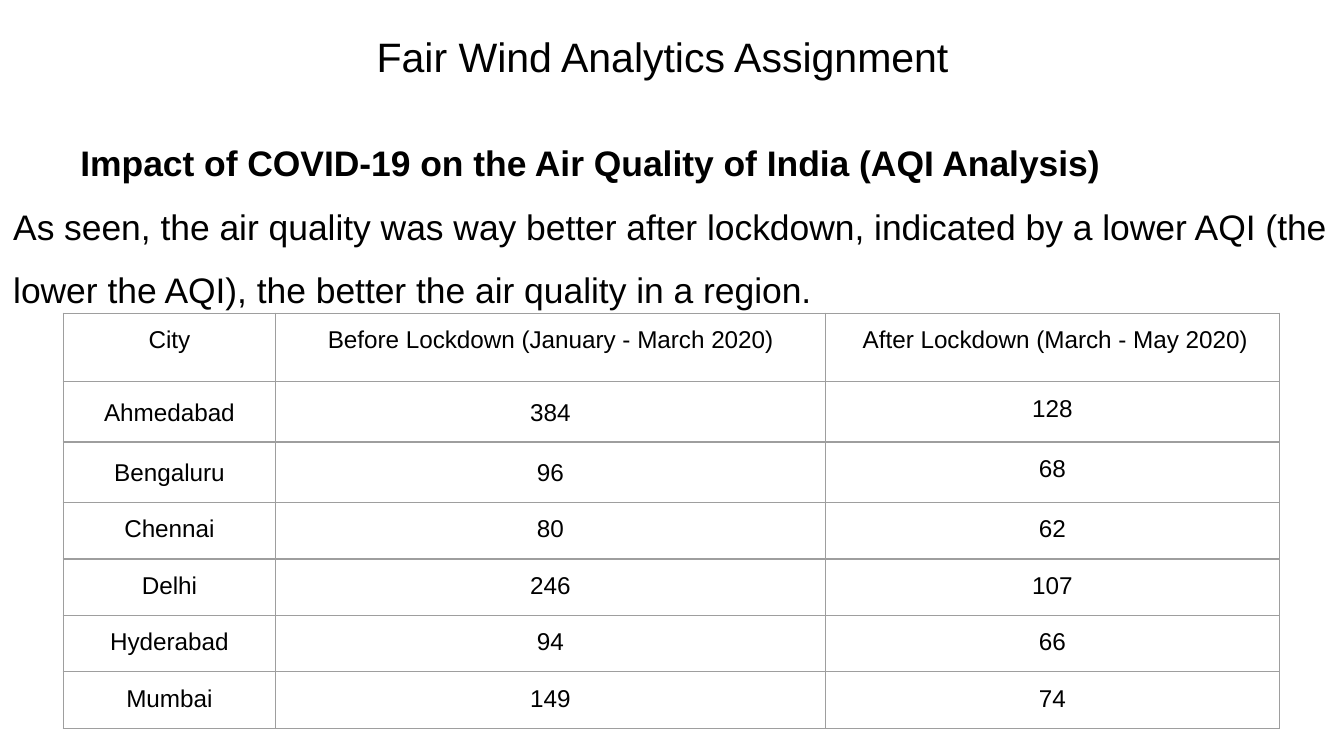
from lxml.etree import SubElement
from pptx import Presentation
from pptx.dml.color import RGBColor
from pptx.enum.text import MSO_ANCHOR, PP_ALIGN
from pptx.oxml.ns import qn
from pptx.util import Inches, Pt

TITLE = "Fair Wind Analytics Assignment"
HEADING = "Impact of COVID-19 on the Air Quality of India (AQI Analysis)"
FINDING = ("As seen, the air quality was way better after lockdown, indicated by a lower AQI "
           "(the lower the AQI), the better the air quality in a region.")
ROWS = [
    ("City", "Before Lockdown (January - March 2020)", " After Lockdown (March - May 2020)"),
    ("Ahmedabad", "384", "128"),
    ("Bengaluru", "96", "68"),
    ("Chennai", "80", "62"),
    ("Delhi", "246", "107"),
    ("Hyderabad", "94", "66"),
    ("Mumbai", "149", "74"),
]
COL_WIDTHS = [1.58, 4.09, 3.38]
ROW_HEIGHTS = [0.51, 0.42, 0.38] + [0.42] * 4
LOOSE_ROWS = (1, 2)  # first two columns use wider line spacing here
COLORS = {"text": "000000", "border": "9E9E9E"}
FONT = "Arial"
INSET = Inches(0.1)


def style(p, size, bold=False, align=PP_ALIGN.LEFT, spacing=1.0):
    p.alignment, p.line_spacing = align, spacing
    p.font.name, p.font.size, p.font.bold = FONT, Pt(size), bold
    p.font.color.rgb = RGBColor.from_string(COLORS["text"])


def set_insets(box):
    box.margin_left = box.margin_right = box.margin_top = box.margin_bottom = INSET


def add_box(s, left, top, width, height, anchor):
    tf = s.shapes.add_textbox(*map(Inches, (left, top, width, height))).text_frame
    tf.word_wrap, tf.vertical_anchor = True, anchor
    set_insets(tf)
    return tf


def set_borders(cell):
    tcPr = cell._tc.get_or_add_tcPr()
    for i, side in enumerate(("lnL", "lnR", "lnT", "lnB")):
        ln = tcPr.makeelement(qn(f"a:{side}"), {"w": str(Pt(0.75))})
        fill = SubElement(ln, qn("a:solidFill"))
        SubElement(fill, qn("a:srgbClr"), val=COLORS["border"])
        tcPr.insert(i, ln)


prs = Presentation()
prs.slide_width = Inches(10)
prs.slide_height = prs.slide_width * 9 // 16
s = prs.slides.add_slide(prs.slide_layouts[6])

# Heading and finding
tf = add_box(s, 0, 0.79, 10, 4.91, MSO_ANCHOR.TOP)
p = tf.paragraphs[0]
p.text = HEADING
p._p.get_or_add_pPr().set("indent", str(Inches(0.5)))
style(p, 19, bold=True, spacing=1.5)
p = tf.add_paragraph()
p.text = FINDING
style(p, 19, spacing=1.5)

# Title
p = add_box(s, 0.27, 0, 9.32, 0.7, MSO_ANCHOR.BOTTOM).paragraphs[0]
p.text = TITLE
style(p, 22, align=PP_ALIGN.CENTER)

# AQI table
table = s.shapes.add_table(len(ROWS), len(COL_WIDTHS), Inches(0.47), Inches(2.33),
                           Inches(sum(COL_WIDTHS)), Inches(sum(ROW_HEIGHTS))).table
table.first_row = table.horz_banding = False
for col, width in zip(table.columns, COL_WIDTHS):
    col.width = Inches(width)
for i, (row, height) in enumerate(zip(ROWS, ROW_HEIGHTS)):
    table.rows[i].height = Inches(height)
    for j, text in enumerate(row):
        cell = table.cell(i, j)
        cell.text = text
        cell.fill.background()
        set_insets(cell)
        set_borders(cell)
        loose = i in LOOSE_ROWS and j < 2
        style(cell.text_frame.paragraphs[0], 13, align=PP_ALIGN.CENTER,
              spacing=1.15 if loose else 1.0)

prs.save("out.pptx")
